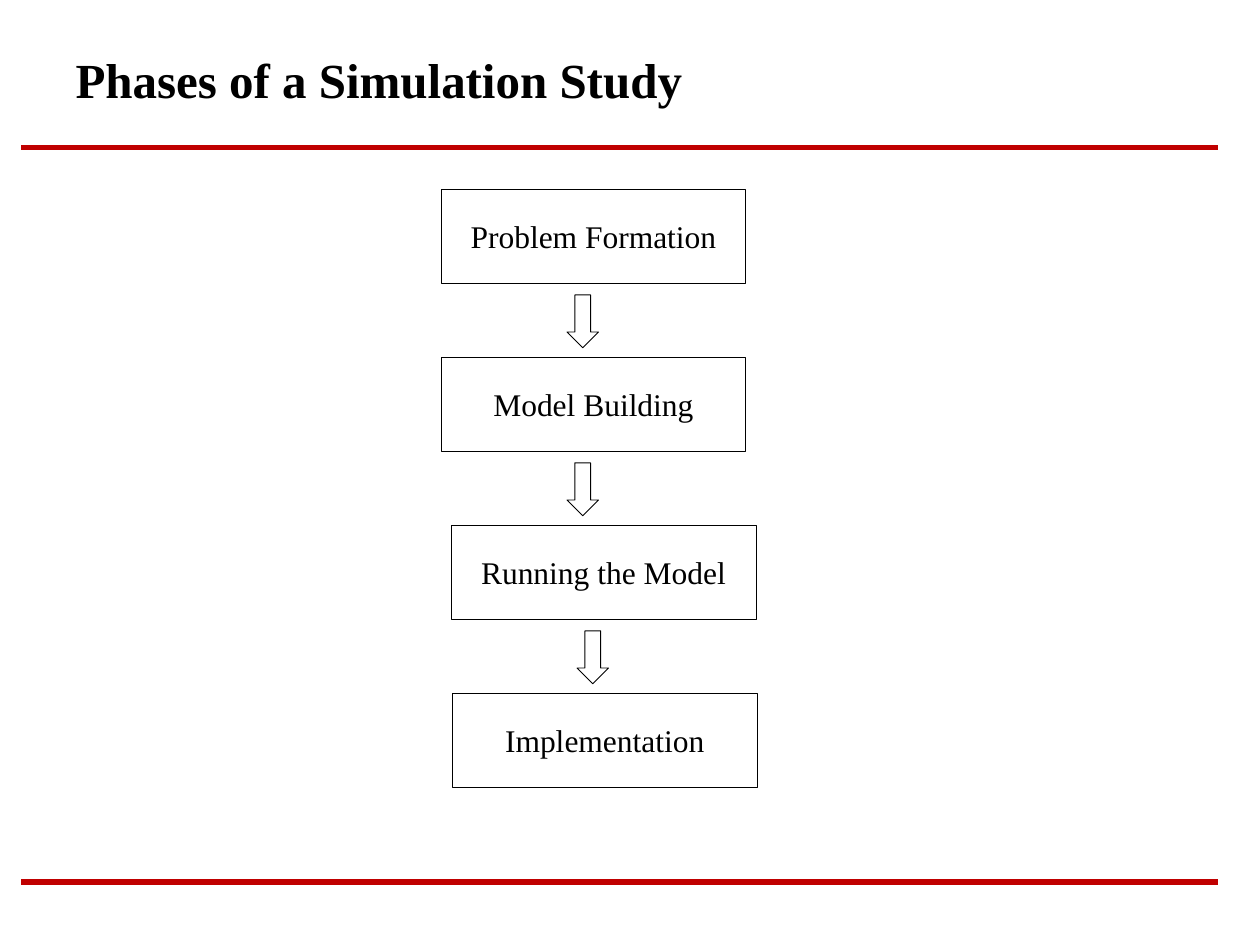
"""Build a slide showing the phases of a simulation study as a vertical flow."""
from dataclasses import dataclass

from lxml import etree
from pptx import Presentation
from pptx.dml.color import RGBColor
from pptx.enum.shapes import MSO_CONNECTOR, MSO_SHAPE
from pptx.enum.text import MSO_ANCHOR, PP_ALIGN
from pptx.oxml.ns import qn
from pptx.shapes.autoshape import Shape
from pptx.slide import Slide
from pptx.util import Inches, Pt

RECTANGLE = MSO_SHAPE.RECTANGLE
DOWN_ARROW = MSO_SHAPE.DOWN_ARROW
STRAIGHT = MSO_CONNECTOR.STRAIGHT
MIDDLE = MSO_ANCHOR.MIDDLE
LEFT, CENTER = PP_ALIGN.LEFT, PP_ALIGN.CENTER

COLORS = {"ink": "000000", "rule": "C00000"}
FONT = "Times New Roman"
BOX_WIDTH, BOX_HEIGHT = 2.42, 0.75
ARROW_WIDTH, ARROW_HEIGHT = 0.25, 0.42
ARROW_INDENT, ARROW_GAP = 1.0, 0.09
FIRST_TOP, LAST_TOP = 1.5, 5.5
RULE_LEFT, RULE_RIGHT = 0.17, 9.67
RULE_HEIGHTS = (1.17, 7)


@dataclass(frozen=True)
class Phase:
    """A step of the study and the left edge of its box in inches."""

    name: str
    left: float


PHASES = [
    Phase("Problem Formation", 3.5),
    Phase("Model Building", 3.5),
    Phase("Running the Model", 3.58),
    Phase("Implementation", 3.59),
]


def color(name: str) -> RGBColor:
    """Return the named colour."""
    return RGBColor.from_string(COLORS[name])


def write_text(shape: Shape, text: str, *, size: float, bold: bool = False,
               align: PP_ALIGN = LEFT, wrap: bool = True) -> None:
    """Write one formatted paragraph, centred vertically in the shape."""
    frame = shape.text_frame
    frame.word_wrap = wrap
    frame.vertical_anchor = MIDDLE
    frame.text = text
    paragraph = frame.paragraphs[0]
    paragraph.alignment = align
    font = paragraph.runs[0].font
    font.name = FONT
    font.size = Pt(size)
    font.bold = bold
    font.color.rgb = color("ink")


def add_outline(slide: Slide, kind: MSO_SHAPE, left: float, top: float,
                width: float, height: float) -> Shape:
    """Add an unfilled shape with a thin outline."""
    shape = slide.shapes.add_shape(
        kind, Inches(left), Inches(top), Inches(width), Inches(height))
    shape.shadow.inherit = False
    shape.fill.background()
    shape.line.color.rgb = color("ink")
    shape.line.width = Pt(0.5)
    return shape


def add_rule(slide: Slide, height: float) -> None:
    """Add a horizontal rule across the slide."""
    rule = slide.shapes.add_connector(
        STRAIGHT, Inches(RULE_LEFT), Inches(height), Inches(RULE_RIGHT), Inches(height))
    rule.line.color.rgb = color("rule")
    rule.line.width = Pt(3)
    properties = rule._element.find(qn("p:spPr"))
    etree.SubElement(properties, qn("a:effectLst"))


def add_title(slide: Slide, text: str) -> None:
    """Place and format the title placeholder."""
    title = slide.shapes.title
    title.left, title.top = Inches(0.5), Inches(0.34)
    title.width, title.height = Inches(6.33), Inches(0.57)
    write_text(title, text, size=28, bold=True, wrap=False)


def add_phases(slide: Slide, phases: list[Phase]) -> None:
    """Stack the phase boxes evenly, with an arrow below all but the last."""
    step = (LAST_TOP - FIRST_TOP) / (len(phases) - 1)
    for index, phase in enumerate(phases):
        top = FIRST_TOP + index * step
        box = add_outline(slide, RECTANGLE, phase.left, top, BOX_WIDTH, BOX_HEIGHT)
        write_text(box, phase.name, size=18, align=CENTER)
        if index < len(phases) - 1:
            add_outline(slide, DOWN_ARROW, phase.left + ARROW_INDENT,
                        top + BOX_HEIGHT + ARROW_GAP, ARROW_WIDTH, ARROW_HEIGHT)


def main() -> None:
    """Build and save the presentation."""
    presentation = Presentation()
    presentation.slide_width, presentation.slide_height = Inches(10), Inches(7.5)
    slide = presentation.slides.add_slide(presentation.slide_layouts[5])
    for height in RULE_HEIGHTS:
        add_rule(slide, height)
    add_title(slide, "Phases of a Simulation Study")
    add_phases(slide, PHASES)
    presentation.save("out.pptx")


if __name__ == "__main__":
    main()
